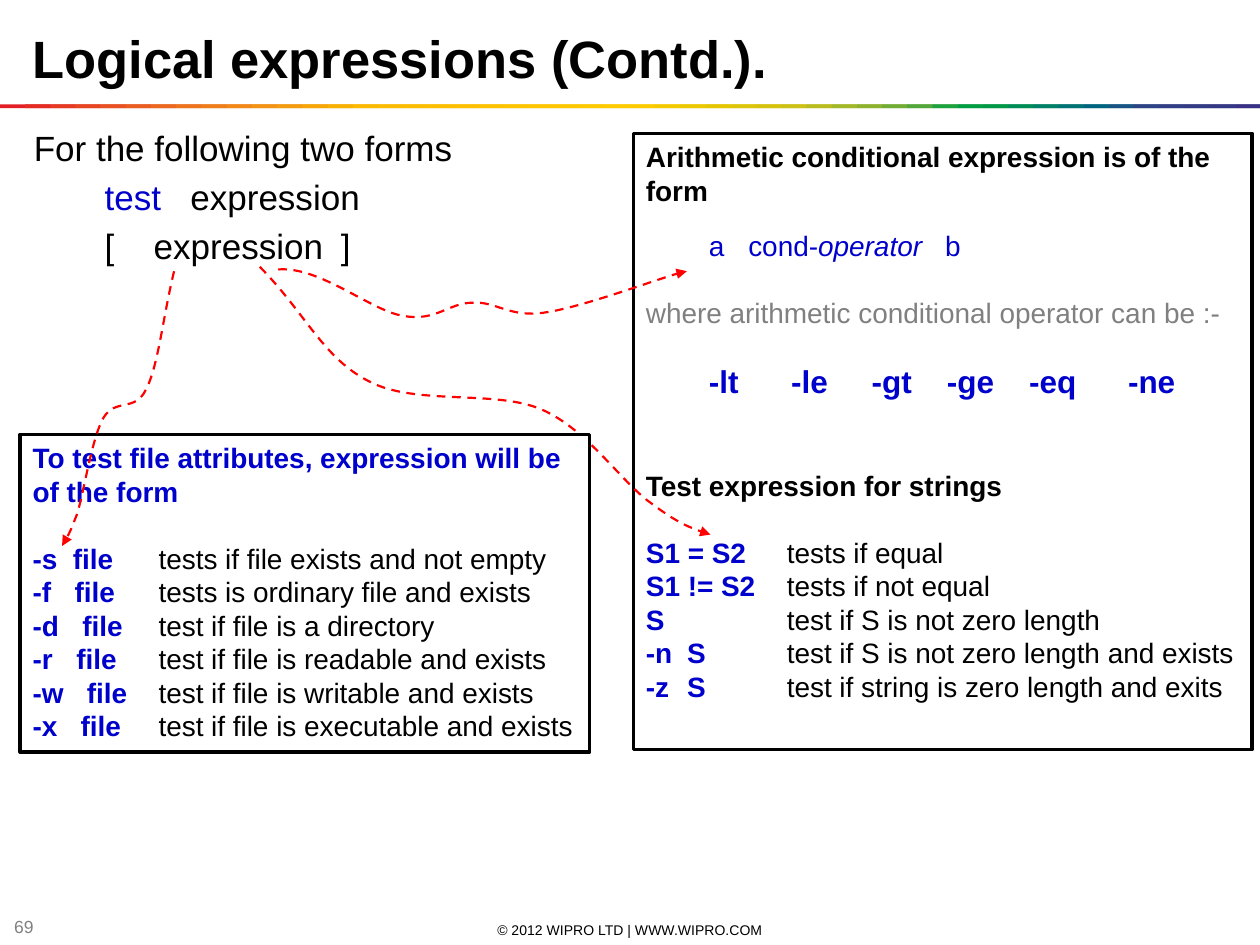
from dataclasses import dataclass

from pptx import Presentation
from pptx.dml.color import RGBColor
from pptx.enum.dml import MSO_LINE
from pptx.enum.shapes import MSO_SHAPE
from pptx.enum.text import MSO_ANCHOR, PP_ALIGN
from pptx.oxml.ns import qn
from pptx.util import Pt
from lxml import etree

RECT = MSO_SHAPE.RECTANGLE
TOP, MID = MSO_ANCHOR.TOP, MSO_ANCHOR.MIDDLE
LEFT, CENTER = PP_ALIGN.LEFT, PP_ALIGN.CENTER
DASH = MSO_LINE.DASH


@dataclass(frozen=True)
class Theme:
    """Colours, type sizes and line pitch of the slide."""
    font: str = "Arial"
    black: str = "000000"
    white: str = "FFFFFF"
    blue: str = "0000CC"
    gray: str = "808080"
    red: str = "FF0000"
    title: float = 30
    lead: float = 20
    ops: float = 18
    body: float = 16
    page: float = 10
    foot: float = 8
    pitch: float = 1.2


THEME = Theme()
BAND = """
E31E24 E42C24 E53A24 E74623 E85122 EA5D21 EC691F EE741D EF7E1A F18817
F39314 F49C0F F6A607 F8B002 FBBA00 FBBB00 FBBD00 FCBF00 FCC000 FCC200
FDC400 FDC600 FDC700 FEC900 FECB00 FBCB00 F3CA00 ECC800 E4C602 DCC50A
D5C30E CCC117 B8BC21 A3B829 8CB230 71AD36 51A73B 1DA240 009D43 009846
008C57 008068 007275 00637F 185384 2E4285 313E85 333B85 353885 393185
""".split()

FILES = [
    ("-s", 23, "tests if file exists and not empty"),
    ("-f", 24, "tests is ordinary file and exists"),
    ("-d", 28.5, "test if file is a directory"),
    ("-r", 25, "test if file is readable and exists"),
    ("-w", 31, "test if file is writable and exists"),
    ("-x", 27.5, "test if file is executable and exists"),
]
STRINGS = [
    ("S1 = S2\t", "tests if equal"),
    ("S1 != S2\t", "tests if not equal"),
    ("S\t\t", "test if S is not zero length"),
    ("-n\tS\t", "test if S is not zero length and exists"),
    ("-z\tS\t", "test if string is zero length and exits"),
]
ARITH = [(159, 154), (183, 152), (212.5, 178), (230.5, 180.5), (249, 184),
         (256.5, 173), (270, 173), (283.5, 172), (291.5, 182), (312, 178.5),
         (332.5, 175.5), (388, 155), (392.5, 155)]
STRING = [(148.5, 152.5), (175, 179.5), (184.5, 204.5), (211, 218), (237.5, 232),
          (283, 222.5), (309.5, 234), (336, 245.5), (355.5, 276), (372, 287.5),
          (388, 299.5), (402, 304.5), (406, 305.5)]
FILE = [(99.5, 155), (93, 182), (90.5, 209), (83.5, 222.5), (77, 236),
        (66, 227), (59, 239), (52.5, 250.5), (48, 281.5), (44, 294),
        (39.5, 305.5), (36.5, 311), (35.5, 312)]


def color(code):
    """Turn a hex code into a colour."""
    return RGBColor.from_string(code)


def put(par, text, size=THEME.body, ink=THEME.black, bold=False, italic=False):
    """Add one run of formatted text to a paragraph."""
    run = par.add_run()
    run.text = text
    font = run.font
    font.name, font.size, font.bold, font.italic = THEME.font, Pt(size), bold, italic
    font.color.rgb = color(ink)


def row(frame, text, size=THEME.body, gap=0, tabs=(), align=LEFT, **style):
    """Start a paragraph with its spacing and tab stops and return it."""
    par = frame.paragraphs[0]
    if par.runs:
        par = frame.add_paragraph()
    if tabs:
        stops = etree.SubElement(par._p.get_or_add_pPr(), qn("a:tabLst"))
        for stop in tabs:
            etree.SubElement(stops, qn("a:tab"), pos=str(Pt(stop)), algn="l")
    par.alignment = align
    par.line_spacing = Pt(round(size * THEME.pitch, 1))
    if gap:
        par.space_before = Pt(gap)
    put(par, text, size=size, **style)
    return par


def area(slide, box, anchor=TOP, inset=3.6):
    """Add a wrapping text box and return its frame."""
    frame = slide.shapes.add_textbox(*map(Pt, box)).text_frame
    frame.word_wrap, frame.vertical_anchor = True, anchor
    frame.margin_top = frame.margin_bottom = Pt(inset)
    return frame


def panel(slide, box):
    """Add a white outlined panel and return its text frame."""
    shape = slide.shapes.add_shape(RECT, *map(Pt, box))
    shape.shadow.inherit = False
    shape.fill.solid()
    shape.fill.fore_color.rgb = color(THEME.white)
    shape.line.color.rgb = color(THEME.black)
    shape.line.width = Pt(2)
    frame = shape.text_frame
    frame.word_wrap, frame.vertical_anchor = True, TOP
    return frame


def band(slide, box):
    """Lay the rainbow rule as overlapping strips across a box."""
    left, top, width, height = box
    step = width / len(BAND)
    group = slide.shapes.add_group_shape()
    for i, code in enumerate(BAND):
        span = min(2 * step, width - i * step)
        strip = group.shapes.add_shape(
            RECT, Pt(left + i * step), Pt(top), Pt(span), Pt(height))
        strip.shadow.inherit = False
        strip.fill.solid()
        strip.fill.fore_color.rgb = color(code)
        strip.line.fill.background()


def arrow(slide, points):
    """Draw a dashed curved arrow through cubic control points."""
    spots = [(Pt(x), Pt(y)) for x, y in points]
    pen = slide.shapes.build_freeform(*spots[0])
    pen.add_line_segments(spots[1:], close=False)
    shape = pen.convert_to_shape()
    shape.shadow.inherit = False
    shape.fill.background()
    line = shape.line
    line.color.rgb = color(THEME.red)
    line.width, line.dash_style = Pt(1.25), DASH
    etree.SubElement(line._get_or_add_ln(), qn("a:tailEnd"), type="triangle")
    route = shape._element.find(".//" + qn("a:path"))
    legs = route.findall(qn("a:lnTo"))
    for i in range(0, len(legs), 3):
        curve = etree.SubElement(route, qn("a:cubicBezTo"))
        for leg in legs[i:i + 3]:
            curve.append(leg[0])
            route.remove(leg)


def footer(slide, box):
    """Place the page number and the copyright line in the bottom strip."""
    left, top, width, height = box
    row(area(slide, (left + 246, top + 2, 228, height), MID, 0),
        "© 2012 WIPRO LTD | WWW.WIPRO.COM", size=THEME.foot, align=CENTER)
    row(area(slide, (left + 1, top, 28, height), MID, 0),
        "69", size=THEME.page, ink=THEME.gray)


def forms(slide, box):
    """List the two forms of the test command."""
    frame = area(slide, box)
    row(frame, "For the following two forms", size=THEME.lead)
    par = row(frame, "\ttest", size=THEME.lead, gap=4, tabs=(40.5, 89.5), ink=THEME.blue)
    put(par, "\texpression", size=THEME.lead)
    row(frame, "\t[\texpression\t]", size=THEME.lead, gap=4, tabs=(40.5, 68.5, 175.5))


def rules(slide, box):
    """Fill the panel of arithmetic and string expressions."""
    frame = panel(slide, box)
    row(frame, "Arithmetic conditional expression is of the form", bold=True)
    par = row(frame, "\ta\tcond-", gap=12.5, tabs=(36, 58.5, 171), ink=THEME.blue)
    put(par, "operator", ink=THEME.blue, italic=True)
    put(par, "\tb", ink=THEME.blue)
    row(frame, "where arithmetic conditional operator can be :-", gap=19, ink=THEME.gray)
    row(frame, "\t-lt\t-le\t-gt\t-ge\t-eq\t-ne", size=THEME.ops, gap=19,
        tabs=(36, 83, 129, 172, 219, 275.5), ink=THEME.blue, bold=True)
    row(frame, "Test expression for strings", gap=39, bold=True)
    for i, (term, note) in enumerate(STRINGS):
        par = row(frame, term, gap=0 if i else 19, tabs=(23.5, 80.5),
                  ink=THEME.blue, bold=True)
        put(par, note)


def files(slide, box):
    """Fill the panel of file tests."""
    frame = panel(slide, box)
    row(frame, "To test file attributes, expression will be of the form",
        ink=THEME.blue, bold=True)
    for i, (flag, stop, note) in enumerate(FILES):
        par = row(frame, f"{flag}\tfile\t", gap=0 if i else 19, tabs=(stop, 72),
                  ink=THEME.blue, bold=True)
        put(par, note)


def main():
    """Build the slide and save it."""
    deck = Presentation()
    deck.slide_width, deck.slide_height = Pt(720), Pt(540)
    slide = deck.slides.add_slide(deck.slide_layouts[6])
    footer(slide, (0, 523.5, 720, 11.5))
    band(slide, (0, 59.6, 720, 2.2))
    row(area(slide, (11.5, 11.5, 672.5, 44)), "Logical expressions (Contd.).",
        size=THEME.title, bold=True)
    forms(slide, (12.25, 69, 307.5, 417))
    rules(slide, (362, 76.25, 353.5, 352))
    arrow(slide, ARITH)
    arrow(slide, STRING)
    files(slide, (11.5, 248.25, 325.5, 181.5))
    arrow(slide, FILE)


    deck.save("out.pptx")


if __name__ == "__main__":
    main()
